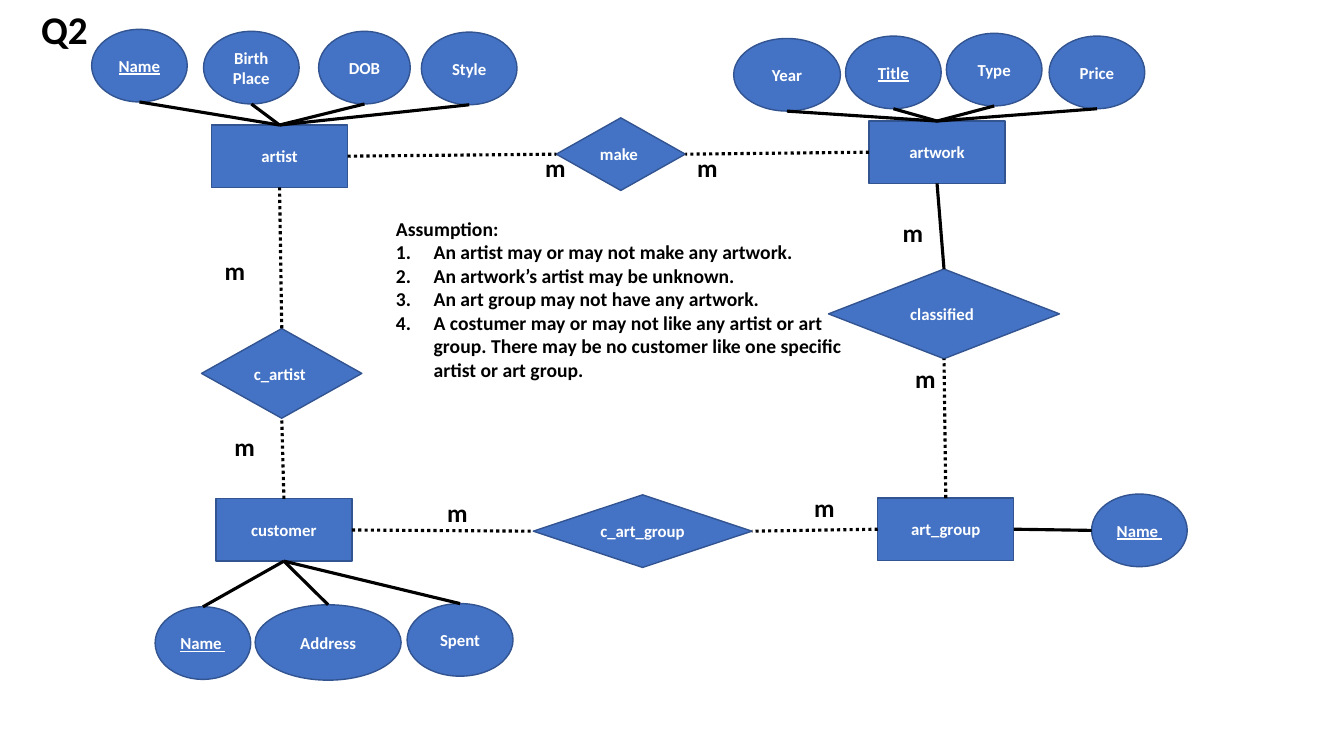
from lxml.etree import SubElement
from pptx import Presentation
from pptx.dml.color import RGBColor
from pptx.enum.dml import MSO_LINE
from pptx.enum.shapes import MSO_CONNECTOR, MSO_SHAPE
from pptx.enum.text import MSO_ANCHOR, MSO_AUTO_SIZE, PP_ALIGN
from pptx.oxml.ns import qn
from pptx.util import Cm, Pt

COLORS = {"fill": "4472C4", "outline": "325491", "light": "FFFFFF", "dark": "000000"}
TOP, LEFT, BOTTOM, RIGHT = range(4)

ENTITIES = {
    "artist": (5.33, 3.15),
    "artwork": (21.9, 3.05),
    "customer": (5.44, 12.57),
    "art_group": (22.12, 12.55),
}
ATTRIBUTES = [
    ("artist", TOP, [
        ("Name", 2.31, 0.74, 2.41, 1.83, True),
        ("Birth\nPlace", 5.13, 0.79, 2.41, 1.83, False),
        ("DOB", 8.03, 0.79, 2.31, 1.83, False),
        ("Style", 10.62, 0.81, 2.41, 1.83, False),
    ]),
    ("artwork", TOP, [
        ("Year", 18.49, 0.97, 2.69, 1.83, False),
        ("Title", 21.31, 0.91, 2.41, 1.83, True),
        ("Type", 23.85, 0.84, 2.41, 1.83, False),
        ("Price", 26.44, 0.91, 2.41, 1.83, False),
    ]),
    ("customer", BOTTOM, [
        ("Name ", 3.91, 15.29, 2.41, 1.83, True),
        ("Address", 6.43, 15.24, 3.68, 1.9, False),
        ("Spent", 10.26, 15.21, 2.67, 1.83, False),
    ]),
    ("art_group", RIGHT, [("Name ", 27.51, 12.45, 2.41, 1.83, True)]),
]
RELATIONSHIPS = [
    ("make ", (14.02, 2.97, 3.25, 1.83),
     [("artist", RIGHT, True), ("artwork", LEFT, True)]),
    ("c_art_group", (13.44, 12.47, 5.51, 1.83),
     [("customer", RIGHT, True), ("art_group", LEFT, True)]),
    ("c_artist ", (5.08, 8.28, 4.04, 2.26),
     [("artist", BOTTOM, True), ("customer", TOP, True)]),
    ("classified ", (20.88, 6.78, 5.82, 2.26),
     [("artwork", BOTTOM, False), ("art_group", TOP, True)]),
]
CARDINALITIES = [
    (13.49, 3.71), (17.32, 3.71), (5.41, 6.32), (5.66, 10.74),
    (22.5, 5.36), (22.81, 9.04), (11.02, 12.4), (20.27, 12.29),
]
ASSUMPTIONS = [
    "An artist may or may not make any artwork.",
    "An artwork’s artist may be unknown.",
    "An art group may not have any artwork.",
    "A costumer may or may not like any artist or art group. "
    "There may be no customer like one specific artist or art group. ",
]


def color(name):
    return RGBColor.from_string(COLORS[name])


def opposite(side):
    return (side + 2) % 4


def write_text(frame, text, size, color_name, alignment, underline=False):
    frame.word_wrap = True
    frame.text = text
    formats = {"name": "Calibri", "size": Pt(size), "bold": True, "underline": underline}
    for paragraph in frame.paragraphs:
        paragraph.alignment = alignment
        for run in paragraph.runs:
            for key, value in formats.items():
                setattr(run.font, key, value)
            run.font.color.rgb = color(color_name)


def add_node(slide, kind, text, box, underline=False):
    shape = slide.shapes.add_shape(kind, *map(Cm, box))
    shape.shadow.inherit = False
    shape.fill.solid()
    shape.fill.fore_color.rgb = color("fill")
    shape.line.color.rgb = color("outline")
    shape.line.width = Pt(1)
    write_text(shape.text_frame, text, 12, "light", PP_ALIGN.CENTER, underline)
    shape.text_frame.vertical_anchor = MSO_ANCHOR.MIDDLE
    return shape


def add_label(slide, text, box, size, alignment=PP_ALIGN.CENTER):
    label = slide.shapes.add_textbox(*map(Cm, box))
    write_text(label.text_frame, text, size, "dark", alignment)
    label.text_frame.auto_size = MSO_AUTO_SIZE.SHAPE_TO_FIT_TEXT
    return label


def side_point(shape, side):
    middle_x = shape.left + shape.width // 2
    middle_y = shape.top + shape.height // 2
    return {
        TOP: (middle_x, shape.top),
        LEFT: (shape.left, middle_y),
        BOTTOM: (middle_x, shape.top + shape.height),
        RIGHT: (shape.left + shape.width, middle_y),
    }[side]


def add_link(slide, entity, side, target, dotted=False):
    start, end = side_point(entity, side), side_point(target, opposite(side))
    link = slide.shapes.add_connector(MSO_CONNECTOR.STRAIGHT, *start, *end)
    link.begin_connect(entity, side)
    link.line.color.rgb = color("dark")
    link.line.width = Pt(2.25)
    if dotted:
        link.line.dash_style = MSO_LINE.ROUND_DOT
    SubElement(link._element.spPr, qn("a:effectLst"))


def add_assumptions(slide):
    text = "\n".join(["Assumption:", *ASSUMPTIONS])
    label = add_label(slide, text, (9.73, 5.33, 12.34, 4.45), 14, PP_ALIGN.LEFT)
    indent = Cm(0.95)
    for paragraph in label.text_frame.paragraphs[1:]:
        properties = paragraph._p.get_or_add_pPr()
        properties.set("marL", str(indent))
        properties.set("indent", str(-indent))
        SubElement(properties, qn("a:buFont"), typeface="+mj-lt")
        SubElement(properties, qn("a:buAutoNum"), type="arabicPeriod")


def main():
    presentation = Presentation()
    presentation.slide_width, presentation.slide_height = Cm(33.87), Cm(19.05)
    slide = presentation.slides.add_slide(presentation.slide_layouts[6])

    add_label(slide, "Q2", (0, 0, 3.25, 1.45), 28)
    entities = {
        name: add_node(slide, MSO_SHAPE.RECTANGLE, name, (*corner, 3.43, 1.57))
        for name, corner in ENTITIES.items()
    }
    for entity, side, attributes in ATTRIBUTES:
        for text, *box, is_key in attributes:
            attribute = add_node(slide, MSO_SHAPE.OVAL, text, box, is_key)
            add_link(slide, entities[entity], side, attribute)
    for text, box, links in RELATIONSHIPS:
        relationship = add_node(slide, MSO_SHAPE.DIAMOND, text, box)
        for entity, side, dotted in links:
            add_link(slide, entities[entity], side, relationship, dotted)
    for corner in CARDINALITIES:
        add_label(slide, "m", (*corner, 0.51, 1.02), 18)
    add_assumptions(slide)

    presentation.save("out.pptx")


main()
